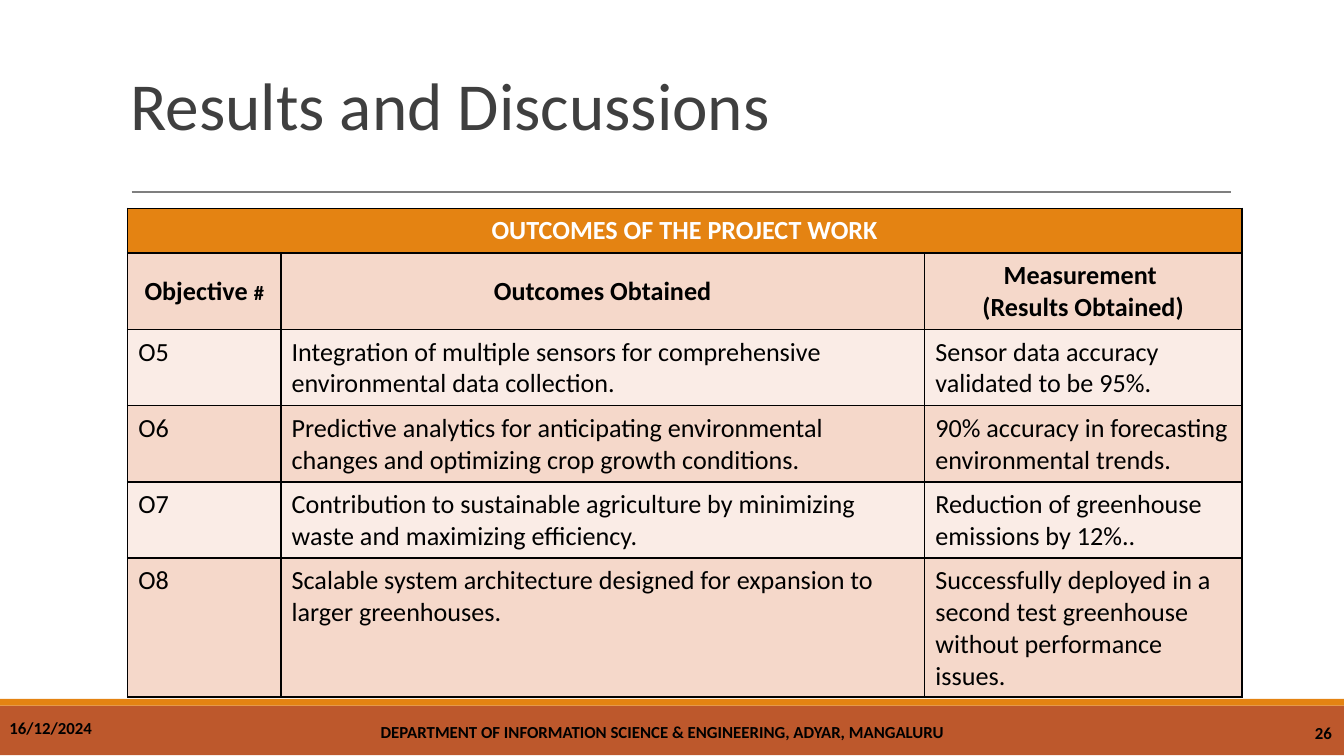
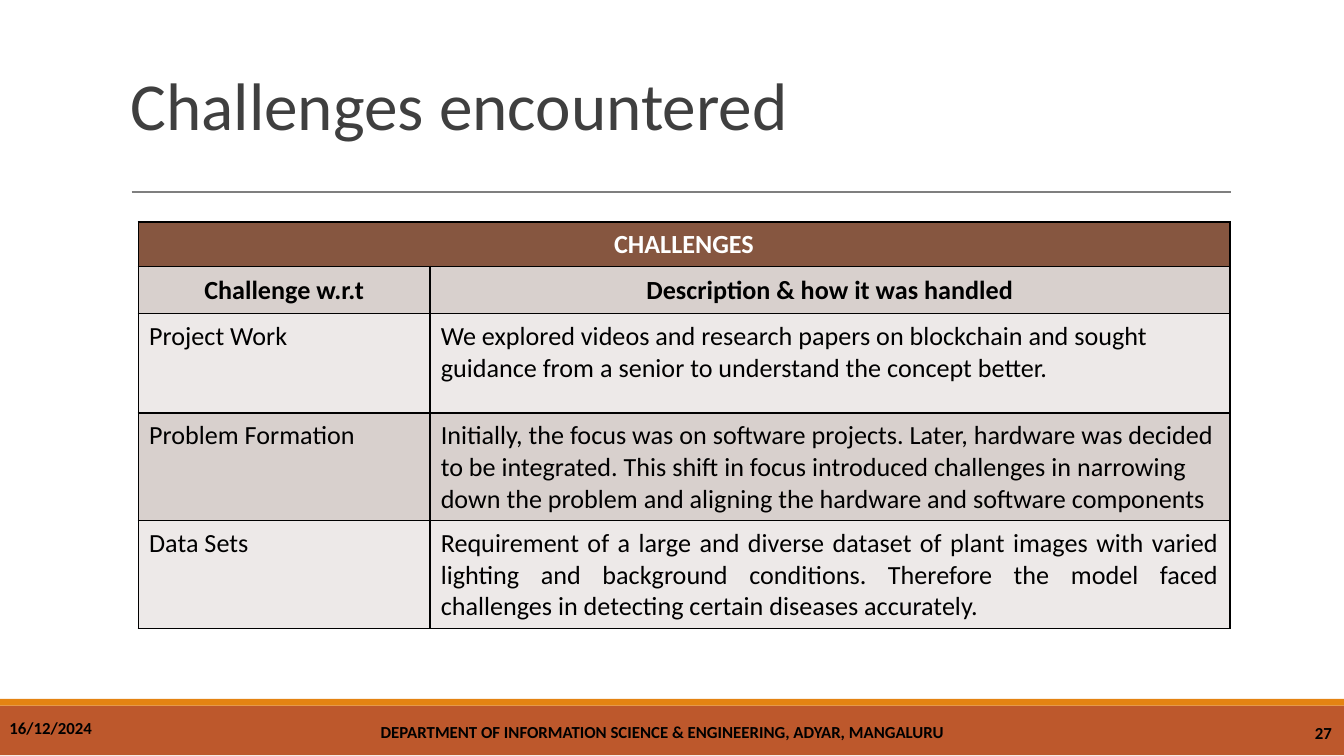
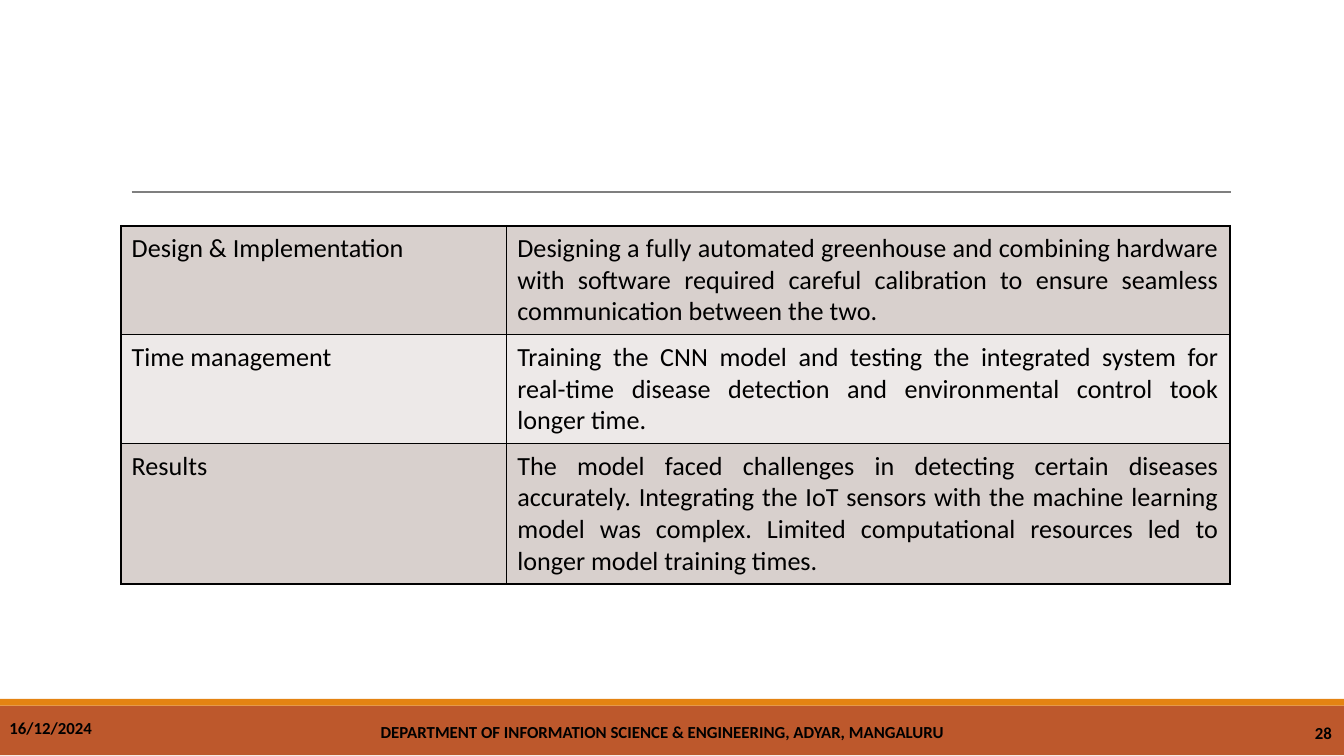
"""Build three slides of project outcomes and challenges as banded tables."""
from lxml import etree
from pptx import Presentation
from pptx.dml.color import RGBColor
from pptx.enum.shapes import MSO_CONNECTOR, MSO_SHAPE
from pptx.enum.text import MSO_ANCHOR as ANCHOR, PP_ALIGN as ALIGN
from pptx.oxml import parse_xml
from pptx.oxml.ns import nsdecls, qn
from pptx.util import Inches, Pt

FONT = "Calibri"
BLACK, WHITE, TITLE_GREY, RULE_GREY = "000000", "FFFFFF", "3F3F3F", "7F7F7F"
RUST, ORANGE, BROWN = "BD582C", "E48312", "865640"
PEACH_BANDS = ("F5D8CA", "FAECE6")
TAUPE_BANDS = ("D8D0CD", "EDE9E8")

DATE = "16/12/2024"
DEPARTMENT = "DEPARTMENT OF INFORMATION SCIENCE & ENGINEERING, ADYAR, MANGALURU"
FIRST_NUMBER = 26

SLIDES = [
    {
        "title": "Results and Discussions",
        "at": (0.95, 1.55),
        "cols": (1.14, 4.79, 2.36),
        "heights": (0.3, 0.49, 0.49, 0.49, 0.49, 0.88),
        "caption": "OUTCOMES OF THE PROJECT WORK",
        "caption_fill": ORANGE,
        "bands": PEACH_BANDS,
        "header": [
            [[("Objective ", 14), ("#", 11)]],
            "Outcomes Obtained",
            [[("Measurement ", 14)], [("(Results Obtained)", 14)]],
        ],
        "body": [
            ("O5", "Integration of multiple sensors for comprehensive environmental data collection.",
             "Sensor data accuracy validated to be 95%."),
            ("O6", "Predictive analytics for anticipating environmental changes and optimizing "
                   "crop growth conditions.",
             "90% accuracy in forecasting environmental trends."),
            ("O7", "Contribution to sustainable agriculture by minimizing waste and maximizing efficiency.",
             "Reduction of greenhouse emissions by 12%.."),
            ("O8", "Scalable system architecture designed for expansion to larger greenhouses.",
             "Successfully deployed in a second test greenhouse without performance issues."),
        ],
        "justified": (),
    },
    {
        "title": "Challenges encountered",
        "at": (1.03, 1.65),
        "cols": (2.17, 5.95),
        "heights": (0.29, 0.35, 0.74, 0.35, 0.35),
        "caption": "CHALLENGES",
        "caption_fill": BROWN,
        "bands": TAUPE_BANDS,
        "header": ["Challenge w.r.t", "Description & how it was handled"],
        "body": [
            ("Project Work",
             "We explored videos and research papers on blockchain and sought guidance from a "
             "senior to understand the concept better."),
            ("Problem Formation",
             "Initially, the focus was on software projects. Later, hardware was decided to be "
             "integrated. This shift in focus introduced challenges in narrowing down the problem "
             "and aligning the hardware and software components"),
            ("Data Sets",
             "Requirement of a large and diverse dataset of plant images with varied lighting and "
             "background conditions. Therefore the model faced challenges in detecting certain "
             "diseases accurately."),
        ],
        "justified": ("Data Sets",),
    },
    {
        "at": (0.9, 1.68),
        "cols": (2.87, 5.38),
        "heights": (0.3, 0.3, 0.3),
        "bands": TAUPE_BANDS,
        "body": [
            ("Design & Implementation",
             "Designing a fully automated greenhouse and combining hardware with software required "
             "careful calibration to ensure seamless communication between the two."),
            ("Time management",
             "Training the CNN model and testing the integrated system for real-time disease "
             "detection and environmental control took longer time."),
            ("Results",
             "The model faced challenges in detecting certain diseases accurately. Integrating the "
             "IoT sensors with the machine learning model was complex. Limited computational "
             "resources led to longer model training times."),
        ],
        "justified": ("Design & Implementation", "Time management", "Results"),
    },
]


def rgb(color):
    return RGBColor.from_string(color)


def paint(fill, color):
    fill.solid()
    fill.fore_color.rgb = rgb(color)


def write(tf, content, size, color=BLACK, bold=False, align=ALIGN.LEFT, spacing=None):
    paragraphs = [[(content, size)]] if isinstance(content, str) else content
    for i, runs in enumerate(paragraphs):
        p = tf.add_paragraph() if i else tf.paragraphs[0]
        p.alignment = align
        p.line_spacing = spacing
        for text, points in runs:
            r = p.add_run()
            r.text = text
            r.font.name, r.font.size, r.font.bold = FONT, Pt(points), bold
            r.font.color.rgb = rgb(color)


def add_text(slide, at, text, size, anchor=ANCHOR.TOP, **style):
    tf = slide.shapes.add_textbox(*map(Inches, at)).text_frame
    tf.word_wrap = True
    tf.vertical_anchor = anchor
    tf.margin_left = tf.margin_right = Inches(0.07)
    tf.margin_top = tf.margin_bottom = Inches(0.04)
    write(tf, text, size, **style)


def add_frame(slide):
    for top, height, color in ((5.25, 0.37, RUST), (5.2, 0.05, ORANGE)):
        band = slide.shapes.add_shape(MSO_SHAPE.RECTANGLE, 0, Inches(top), Inches(10), Inches(height))
        band.shadow.inherit = False
        paint(band.fill, color)
        band.line.fill.background()
    rule = slide.shapes.add_connector(MSO_CONNECTOR.STRAIGHT, *map(Inches, (0.98, 1.43, 9.16, 1.43)))
    rule.line.color.rgb = rgb(RULE_GREY)
    rule.line.width = Pt(0.75)
    etree.SubElement(rule._element.spPr, qn("a:effectLst"))


def add_footer(slide, number):
    add_text(slide, (1.99, 5.3, 5.87, 0.29), DEPARTMENT, 9, ANCHOR.MIDDLE, bold=True, align=ALIGN.CENTER)
    add_text(slide, (9.5, 5.31, 0.48, 0.29), str(number), 9, ANCHOR.MIDDLE, bold=True, align=ALIGN.RIGHT)
    add_text(slide, (0, 5.3, 0.8, 0.29), DATE, 9, bold=True)


def style_cell(cell, fill):
    paint(cell.fill, fill)
    cell.margin_left = cell.margin_right = Inches(0.08)
    cell.margin_top = cell.margin_bottom = Inches(0.05)
    tc_pr = cell._tc.get_or_add_tcPr()
    for i, side in enumerate("LRTB"):
        tc_pr.insert(i, parse_xml(
            f'<a:ln{side} {nsdecls("a")} w="{Pt(0.96)}"><a:solidFill>'
            f'<a:srgbClr val="{BLACK}"/></a:solidFill></a:ln{side}>'))


def add_table(slide, content):
    cols, heights, bands = content["cols"], content["heights"], content["bands"]
    size = (sum(cols), sum(heights))
    table = slide.shapes.add_table(len(heights), len(cols), *map(Inches, content["at"] + size)).table
    table.first_row = table.horz_banding = False
    for column, width in zip(table.columns, cols):
        column.width = Inches(width)
    for row, height in zip(table.rows, heights):
        row.height = Inches(height)

    first = 0
    if "caption" in content:
        first = 1
        for cell in table.rows[0].cells:
            style_cell(cell, content["caption_fill"])
        table.cell(0, 0).merge(table.cell(0, len(cols) - 1))
        write(table.cell(0, 0).text_frame, content["caption"], 14, WHITE, True, ALIGN.CENTER)

    header = [content["header"]] if "header" in content else []
    for i, texts in enumerate(header + content["body"]):
        is_header = i < len(header)
        for j, text in enumerate(texts):
            cell = table.cell(first + i, j)
            style_cell(cell, bands[i % 2])
            align = ALIGN.LEFT
            if is_header:
                cell.vertical_anchor = ANCHOR.MIDDLE
                align = ALIGN.CENTER
            elif j and texts[0] in content["justified"]:
                align = ALIGN.JUSTIFY
            write(cell.text_frame, text, 14, bold=is_header, align=align)


def main():
    prs = Presentation()
    prs.slide_width = Inches(10)
    prs.slide_height = prs.slide_width * 9 // 16
    for number, content in enumerate(SLIDES, FIRST_NUMBER):
        slide = prs.slides.add_slide(prs.slide_layouts[6])
        add_frame(slide)
        if "title" in content:
            add_text(slide, (0.9, 0.52, 8.25, 0.57), content["title"], 36, color=TITLE_GREY, spacing=0.85)
        add_table(slide, content)
        add_footer(slide, number)
    prs.save("out.pptx")


if __name__ == "__main__":
    main()
